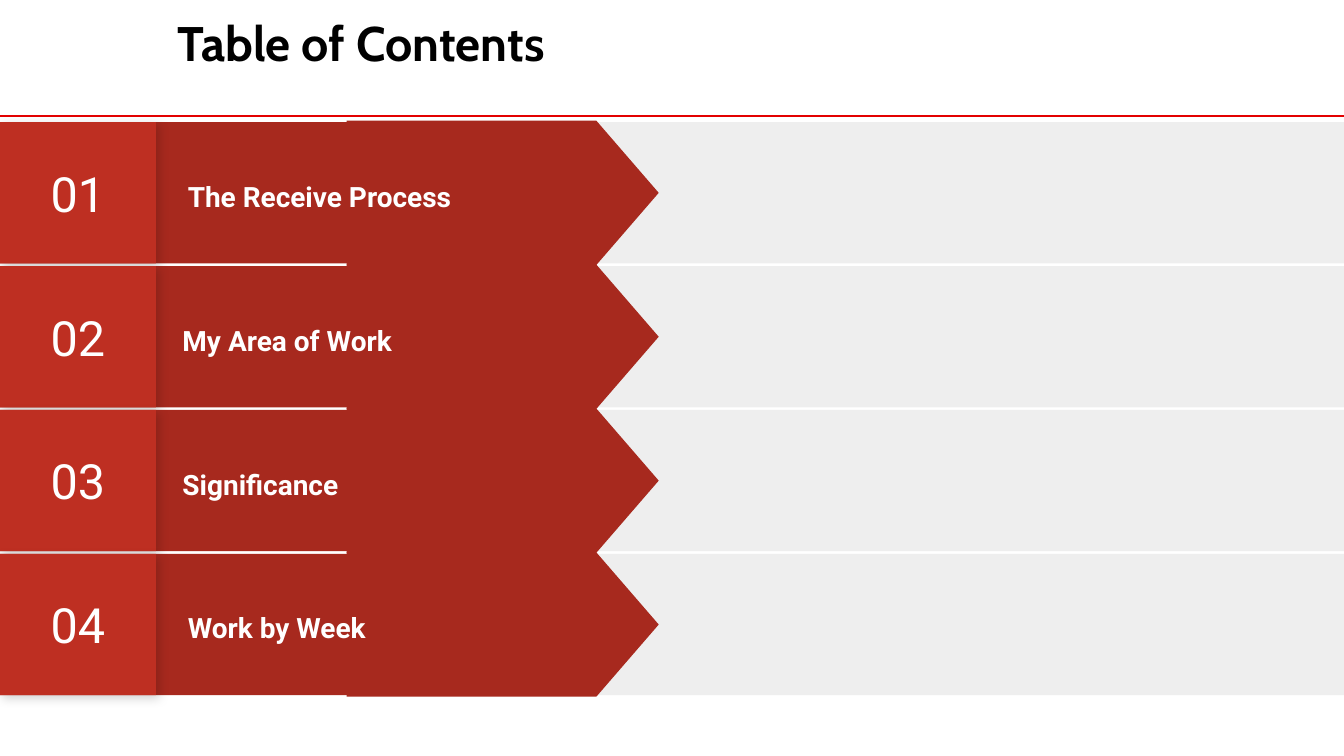
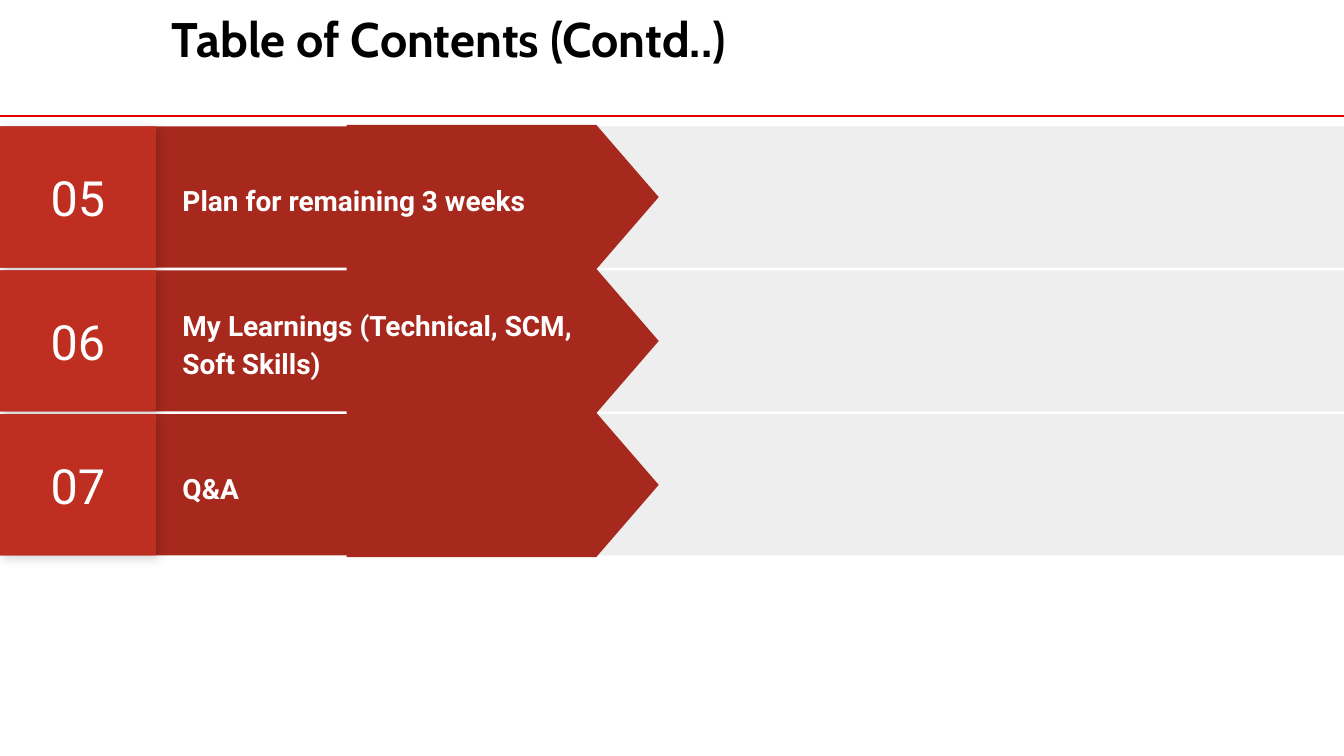
from pptx import Presentation
from pptx.dml.color import RGBColor
from pptx.enum.shapes import MSO_CONNECTOR as Conn, MSO_SHAPE as Geo
from pptx.enum.text import MSO_ANCHOR as Anchor, PP_ALIGN as Align
from pptx.oxml import parse_xml
from pptx.oxml.ns import nsdecls
from pptx.util import Cm, Pt

HUES = {
    "rule": "E30000", "title": "000000", "band": "EEEEEE", "label": "A7291E",
    "base": "B02B20", "number": "BE2F22", "text": "FFFFFF",
}
WIDTH = 25.4
ROW_H, PITCH = 2.67, 2.72
NUM_W = 2.95
PAD = 0.25

# Title, its box, top of the first row, then number, label and label left
DECK = [
    ("Table of Contents", (3.35, 0.25, 16.28, 1.12), 2.31, [
        ("01", "The Receive Process", 3.3),
        ("02", "My Area of Work", 3.2),
        ("03", "Significance", 3.2),
        ("04", "Work by Week", 3.3),
    ]),
    ("Table of Contents (Contd..)", (3.25, 0.18, 13.46, 2.24), 2.39, [
        ("05", "Plan for remaining 3 weeks", 3.2),
        ("06", "My Learnings (Technical, SCM, Soft Skills)", 3.2),
        ("07", "Q&A", 3.2),
    ]),
]


def color(name):
    return RGBColor.from_string(HUES[name])


def write(shape, text, size, font, hue="text", bold=False, pad=PAD,
          anchor=Anchor.MIDDLE, align=Align.LEFT, space=None):
    frame = shape.text_frame
    frame.text = text
    frame.word_wrap = True
    frame.vertical_anchor = anchor
    frame.margin_left = frame.margin_right = Cm(pad)
    frame.margin_top = frame.margin_bottom = Cm(pad)
    para = frame.paragraphs[0]
    para.alignment = align
    para.line_spacing = space
    face = para.runs[0].font
    face.name, face.size, face.bold = font, Pt(size), bold
    face.color.rgb = color(hue)


def block(group, box, hue, geo=Geo.RECTANGLE):
    shape = group.shapes.add_shape(geo, *map(Cm, box))
    shape.shadow.inherit = False
    shape.fill.solid()
    shape.fill.fore_color.rgb = color(hue)
    shape.line.fill.background()
    return shape


def shade(shape):
    """Give the shape a soft shadow, down and to the right."""
    props = shape._element.spPr
    props.remove(props.find("{*}effectLst"))
    props.append(parse_xml(
        f'<a:effectLst {nsdecls("a")}>'
        f'<a:outerShdw blurRad="{Pt(5.6)}" dist="{Pt(2.2)}" dir="2700000" '
        'algn="tl" rotWithShape="0"><a:srgbClr val="000000">'
        '<a:alpha val="16000"/></a:srgbClr></a:outerShdw></a:effectLst>'))


def head(slide, title, box):
    rule = slide.shapes.add_connector(
        Conn.STRAIGHT, 0, Cm(2.19), Cm(WIDTH), Cm(2.19))
    rule.line.color.rgb = color("rule")
    rule.line.width = Pt(0.75)
    rule._element.spPr.append(parse_xml(f'<a:effectLst {nsdecls("a")}/>'))
    text = slide.shapes.add_textbox(*map(Cm, box))
    write(text, title, 26, "Cabin", "title", True, 0, Anchor.TOP)


def row(slide, top, number, label, left):
    group = slide.shapes.add_group_shape()

    # Grey band, then the red label with its arrow tip
    block(group, (9.09, top, WIDTH - 9.09, ROW_H), "band")
    block(group, (NUM_W, top, 7.87, ROW_H), "label")
    mid_x, mid_y = 9.5, top + ROW_H / 2
    wide, tall = 2.73, 5.9
    tip = block(group, (mid_x - wide / 2, mid_y - tall / 2, wide, tall),
                "label", Geo.FLOWCHART_OFFPAGE_CONNECTOR)
    tip.rotation = 270
    text = group.shapes.add_textbox(
        Cm(left), Cm(top + 0.32), Cm(8.28), Cm(2.06))
    write(text, label, 15, "Roboto", bold=True, space=1.15)

    # Number tile on its shadowed base
    tile = (0, top, NUM_W, ROW_H)
    shade(block(group, tile, "base"))
    write(block(group, tile, "number"), number, 26, "Roboto",
          align=Align.CENTER)


def main():
    deck = Presentation()
    deck.slide_width, deck.slide_height = Cm(WIDTH), Cm(14.29)
    for title, box, top, rows in DECK:
        slide = deck.slides.add_slide(deck.slide_layouts[6])
        head(slide, title, box)
        for i, item in enumerate(rows):
            row(slide, top + i * PITCH, *item)
    deck.save("out.pptx")


if __name__ == "__main__":
    main()
